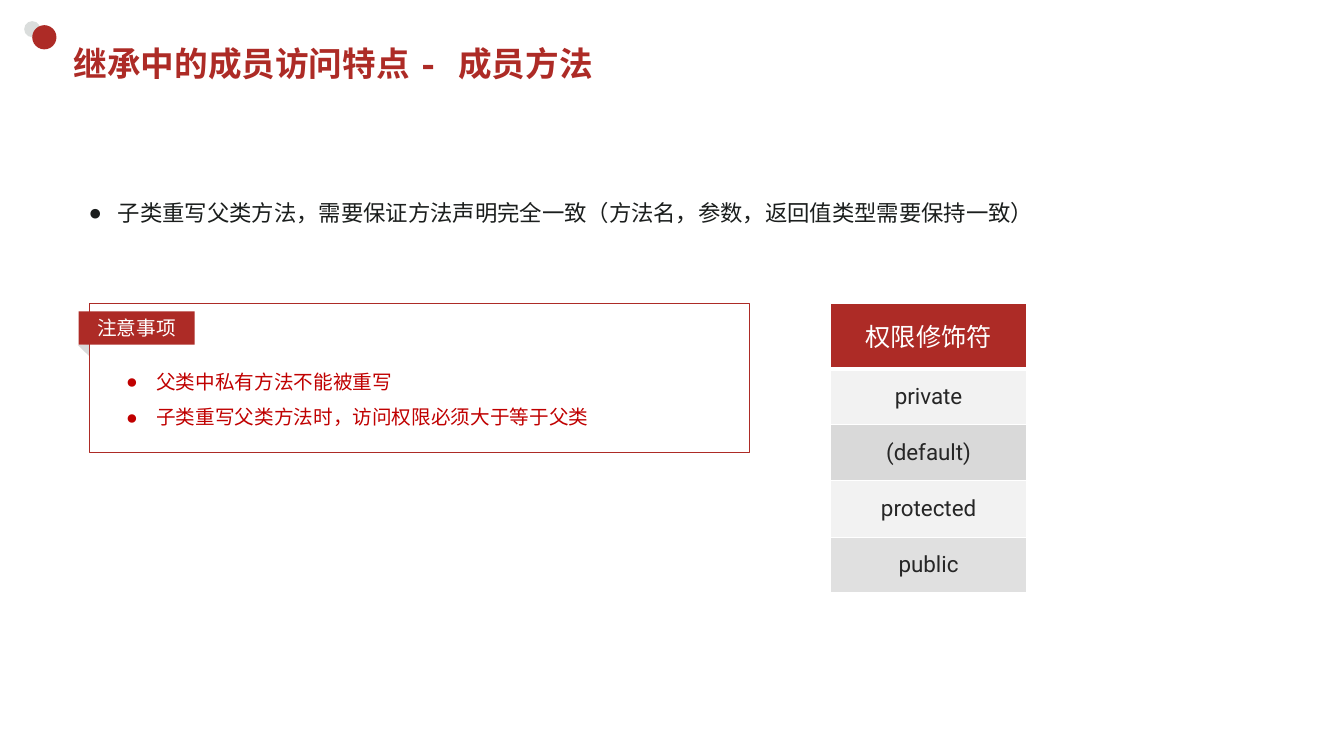
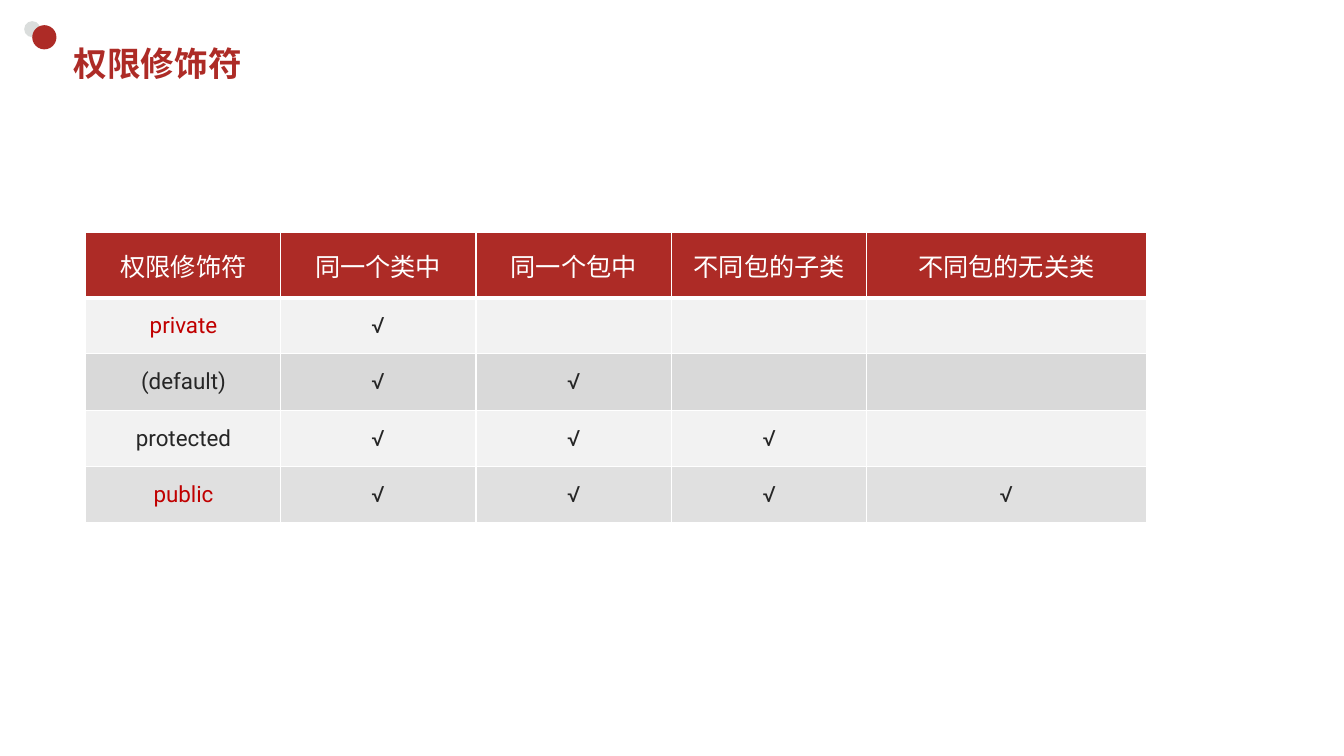
"""Build two slides on member access and access modifiers."""
from lxml.etree import SubElement as Sub
from pptx import Presentation as Deck
from pptx.dml.color import RGBColor as RGB
from pptx.enum.shapes import MSO_SHAPE as Kind
from pptx.enum.text import MSO_ANCHOR as Anchor, MSO_AUTO_SIZE as Fit, PP_ALIGN as Align
from pptx.oxml.ns import qn
from pptx.util import Pt

SCALE = 9144
RED, ALERT, INK, DARK, WHITE = "AD2B26", "C00000", "1B1E1D", "262626", "FFFFFF"
PALE, GRAY, MIST = "F2F2F2", "D9D9D9", "DADDDC"
MONO, SANS = "Noto Sans Mono", "Roboto"


def px(*nums):
    return [num * SCALE for num in nums]


def tint(code):
    return RGB.from_string(code)


def put(frame, text, size=16, color=DARK, font=SANS, east=None, bold=False,
        align=Align.LEFT, lead=1.0, hang=0):
    frame.word_wrap = True
    frame.auto_size = Fit.NONE
    for num, line in enumerate(text.split("\n")):
        par = frame.add_paragraph() if num else frame.paragraphs[0]
        par.alignment, par.line_spacing, par.space_before = align, lead, Pt(0)
        if hang:
            props = par._p.get_or_add_pPr()
            props.set("marL", str(hang * SCALE))
            props.set("indent", str(-hang * SCALE))
            Sub(props, qn("a:buFont"), typeface=font)
            Sub(props, qn("a:buChar"), char="●")
        run = par.add_run()
        run.text = line
        run.font.name, run.font.size, run.font.bold = font, Pt(size), bold
        run.font.color.rgb = tint(color)
        Sub(run._r.get_or_add_rPr(), qn("a:ea"), typeface=east or font)


class Show:
    def __init__(self):
        self.deck = Deck()
        self.deck.slide_width, self.deck.slide_height = px(1333, 750)

    def page(self, title, layout):
        self.slide = self.deck.slides.add_slide(self.deck.slide_layouts[layout])
        self.shape(Kind.OVAL, 24, 21, 16, 16, fill=MIST)
        self.shape(Kind.OVAL, 32, 25, 24, 24, fill=RED)
        head = self.place(0, 63, 37, 1174, 52)
        head.vertical_anchor = Anchor.MIDDLE
        put(head, title, size=24, color=RED, font=MONO, east=SANS, bold=True)

    def place(self, slot, *box):
        item = self.slide.placeholders[slot]
        item.left, item.top, item.width, item.height = px(*box)
        return item.text_frame

    def list(self, slot, text, *box, **style):
        frame = self.place(slot, *box)
        frame.vertical_anchor = Anchor.TOP
        put(frame, text, font=MONO, lead=1.5, **style)

    def shape(self, kind, *box, fill=None, line=None, turn=0):
        item = self.slide.shapes.add_shape(kind, *px(*box))
        item.shadow.inherit = False
        item.rotation = turn
        if fill:
            item.fill.solid()
            item.fill.fore_color.rgb = tint(fill)
        else:
            item.fill.background()
        if line:
            item.line.color.rgb = tint(line)
            item.line.width = Pt(0.75)
        else:
            item.line.fill.background()
        return item

    def label(self, text, *box):
        frame = self.shape(Kind.RECTANGLE, *box, fill=RED).text_frame
        frame.vertical_anchor = Anchor.MIDDLE
        put(frame, text, size=14, color=WHITE, align=Align.CENTER)

    def paint(self, cell, row):
        props = cell._tc.get_or_add_tcPr()
        wide = {"lnT": 3 if row == 1 else 1, "lnB": 3 if row == 0 else 1}
        for side in ("lnL", "lnR", "lnT", "lnB"):
            line = Sub(props, qn("a:" + side), w=str(Pt(wide.get(side, 1))))
            Sub(Sub(line, qn("a:solidFill")), qn("a:srgbClr"), val=WHITE)
        code = [RED, PALE, GRAY, PALE, GRAY][row]
        hue = Sub(Sub(props, qn("a:solidFill")), qn("a:srgbClr"), val=code)
        if row == 4:
            Sub(hue, qn("a:alpha"), val="80000")

    def table(self, texts, left, top, wide=194, hot=()):
        highs = [65, 55, 56, 56, 55]
        box = px(left, top, wide, sum(highs))
        grid = self.slide.shapes.add_table(len(texts), 1, *box).table
        grid.first_row = grid.horz_banding = False
        for num, (text, high) in enumerate(zip(texts, px(*highs))):
            grid.rows[num].height = high
            cell = grid.cell(num, 0)
            cell.vertical_anchor = Anchor.MIDDLE
            self.paint(cell, num)
            if num == 0:
                put(cell.text_frame, text, size=18, color=WHITE,
                    align=Align.CENTER, lead=Pt(24))
            elif text:
                put(cell.text_frame, text, align=Align.CENTER,
                    color=ALERT if text in hot else DARK)


def main():
    names = ["private", "(default)", "protected", "public"]
    topic = "权限修饰符"
    show = Show()

    show.page("继承中的成员访问特点 - 成员方法", 3)
    show.list(1, "子类重写父类方法，需要保证方法声明完全一致（方法名，参数，返回值类型需要保持一致）",
              78, 179, 976, 46, color=INK, hang=29)
    show.list(2, "父类中私有方法不能被重写\n子类重写父类方法时，访问权限必须大于等于父类",
              115, 350, 628, 77, size=14, color=ALERT, hang=30)
    show.shape(Kind.ISOSCELES_TRIANGLE, 78, 340, 16, 9, fill=GRAY, turn=44.2)
    show.shape(Kind.RECTANGLE, 89, 301, 654, 148, line=RED)
    show.label("注意事项", 78, 309, 115, 33)
    show.table([topic] + names, 824, 301)

    show.page(topic, 5)
    show.table([topic] + names, 85, 231, hot=("private", "public"))
    scopes = [("同一个类中", 278, 194), ("同一个包中", 472, 194),
              ("不同包的子类", 666, 194), ("不同包的无关类", 859, 278)]
    for gap, (scope, left, wide) in enumerate(scopes):
        marks = [""] * gap + ["√"] * (4 - gap)
        show.table([scope] + marks, left, 231, wide)

    show.deck.save("out.pptx")


if __name__ == "__main__":
    main()
